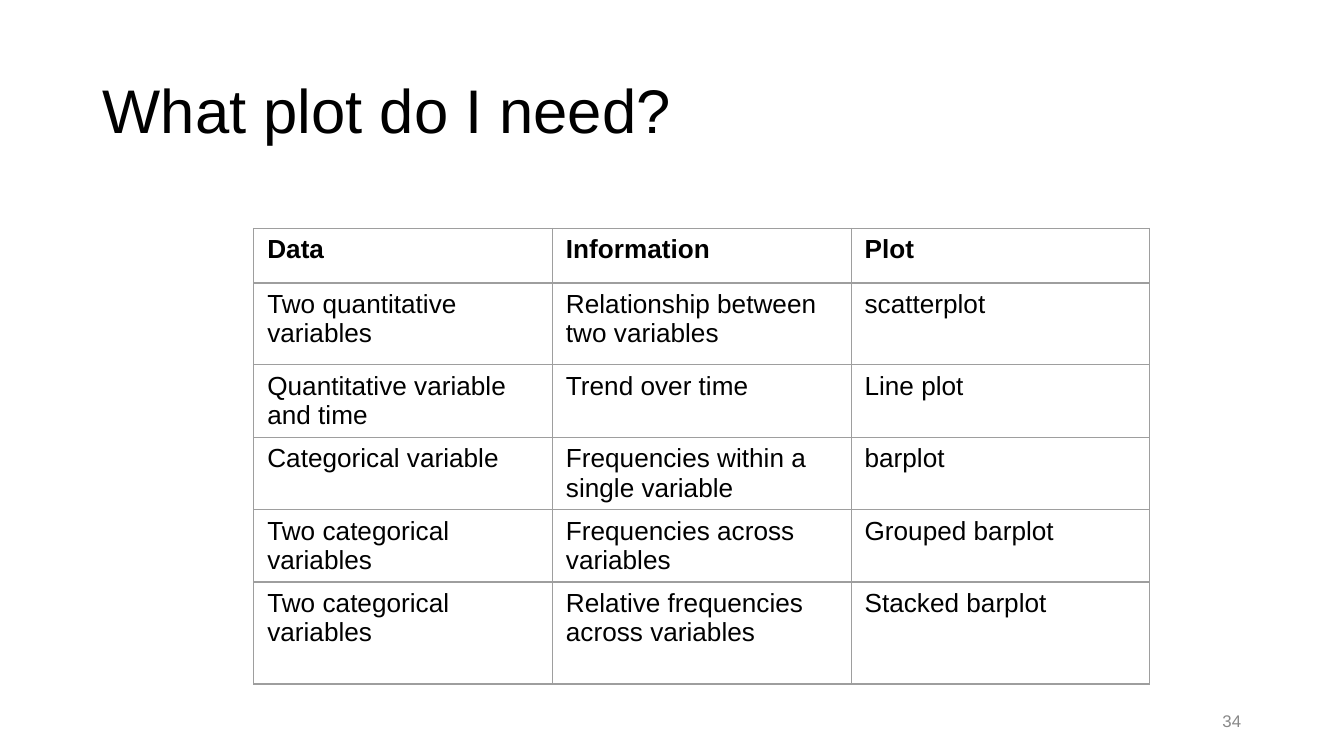
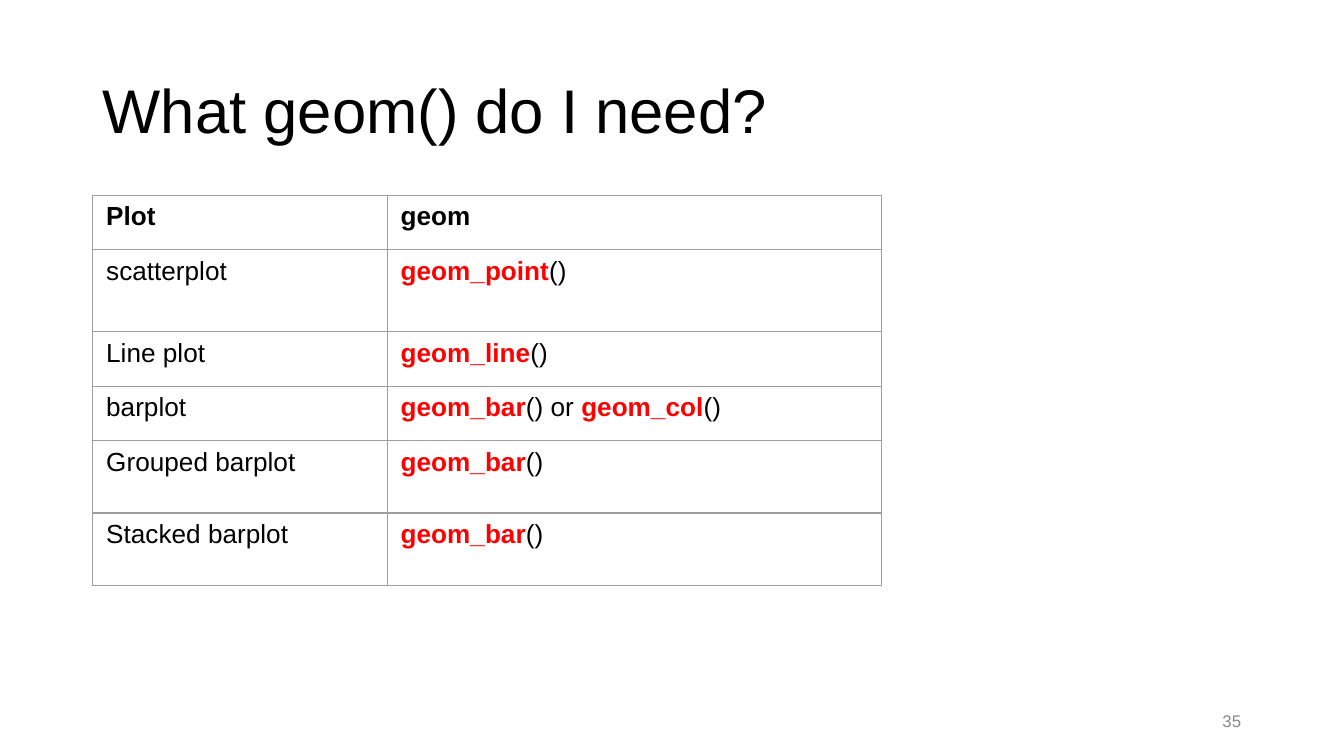
from dataclasses import dataclass

from lxml import etree
from pptx import Presentation
from pptx.dml.color import RGBColor
from pptx.enum import text as t
from pptx.oxml import ns
from pptx.util import Pt

SLIDES = [
    {
        "title": "What plot do I need?",
        "number": "34",
        "position": (136, 122.4),
        "columns": [160, 160, 160],
        "heights": [29.2, 43.9, 38.8, 38.8, 38.8, 54.6],
        "rows": [
            ["Data", "Information", "Plot"],
            ["Two quantitative variables", "Relationship between two variables", "scatterplot"],
            ["Quantitative variable and time", "Trend over time", "Line plot"],
            ["Categorical variable", "Frequencies within a single variable", "barplot"],
            ["Two categorical variables", "Frequencies across variables", "Grouped barplot"],
            ["Two categorical variables", "Relative frequencies across variables", "Stacked barplot"],
        ],
    },
    {
        "title": "What geom() do I need?",
        "number": "35",
        "position": (49.7, 104.6),
        "columns": [157.8, 264.8],
        "heights": [29.2, 43.9, 29.2, 29.2, 38.8, 38.8],
        "rows": [
            ["Plot", "geom"],
            ["scatterplot", "*geom_point*()"],
            ["Line plot", "*geom_line*()"],
            ["barplot", "*geom_bar*() or *geom_col*()"],
            ["Grouped barplot", "*geom_bar*()"],
            ["Stacked barplot", "*geom_bar*()"],
        ],
    },
]


@dataclass(frozen=True)
class Theme:
    font: str = "Arial"
    ink: str = "000000"
    accent: str = "FF0000"
    muted: str = "888888"
    border: str = "9E9E9E"
    border_width: float = 0.75
    title_size: int = 33
    table_size: int = 14
    number_size: int = 9


THEME = Theme()
TITLE_BOX = (49.7, 21.6, 620.6, 78.5)
NUMBER_BOX = (508.3, 375.1, 162, 21.6)


def write_text(frame, text, size, color=THEME.ink, bold=False,
               align=t.PP_ALIGN.LEFT, spacing=None):
    paragraph = frame.paragraphs[0]
    paragraph.alignment = align
    paragraph.line_spacing = spacing
    for index, part in enumerate(text.split("*")):
        if not part:
            continue
        marked = index % 2 == 1
        run = paragraph.add_run()
        run.text = part
        run.font.name = THEME.font
        run.font.size = Pt(size)
        run.font.bold = bold or marked
        run.font.color.rgb = RGBColor.from_string(THEME.accent if marked else color)


def place(shape, box, inset):
    shape.left, shape.top, shape.width, shape.height = map(Pt, box)
    frame = shape.text_frame
    frame.word_wrap = True
    frame.auto_size = t.MSO_AUTO_SIZE.NONE
    frame.vertical_anchor = t.MSO_ANCHOR.MIDDLE
    frame.margin_left = frame.margin_right = Pt(5.4)
    frame.margin_top = frame.margin_bottom = Pt(inset)
    return frame


def add_borders(cell):
    properties = cell._tc.get_or_add_tcPr()
    for side in ("lnL", "lnR", "lnT", "lnB"):
        line = etree.SubElement(properties, ns.qn(f"a:{side}"), w=str(Pt(THEME.border_width)))
        fill = etree.SubElement(line, ns.qn("a:solidFill"))
        etree.SubElement(fill, ns.qn("a:srgbClr"), val=THEME.border)


def add_table(slide, content):
    rows, columns, heights = content["rows"], content["columns"], content["heights"]
    left, top = content["position"]
    table = slide.shapes.add_table(
        len(rows), len(columns), Pt(left), Pt(top), Pt(sum(columns)), Pt(sum(heights))
    ).table
    table.first_row = table.horz_banding = False
    for column, width in zip(table.columns, columns):
        column.width = Pt(width)
    for row_index, (row, height) in enumerate(zip(table.rows, heights)):
        row.height = Pt(height)
        for cell, text in zip(row.cells, rows[row_index]):
            add_borders(cell)
            cell.fill.background()
            write_text(cell.text_frame, text, THEME.table_size, bold=row_index == 0)


def add_slide(presentation, content):
    slide = presentation.slides.add_slide(presentation.slide_layouts[5])
    write_text(place(slide.shapes.title, TITLE_BOX, 5.4), content["title"],
               THEME.title_size, spacing=0.9)
    number = slide.shapes.add_textbox(*map(Pt, NUMBER_BOX))
    write_text(place(number, NUMBER_BOX, 2.7), content["number"],
               THEME.number_size, color=THEME.muted, align=t.PP_ALIGN.RIGHT)
    add_table(slide, content)


def main():
    presentation = Presentation()
    presentation.slide_width, presentation.slide_height = Pt(720), Pt(405)
    for content in SLIDES:
        add_slide(presentation, content)
    presentation.save("out.pptx")


if __name__ == "__main__":
    main()
